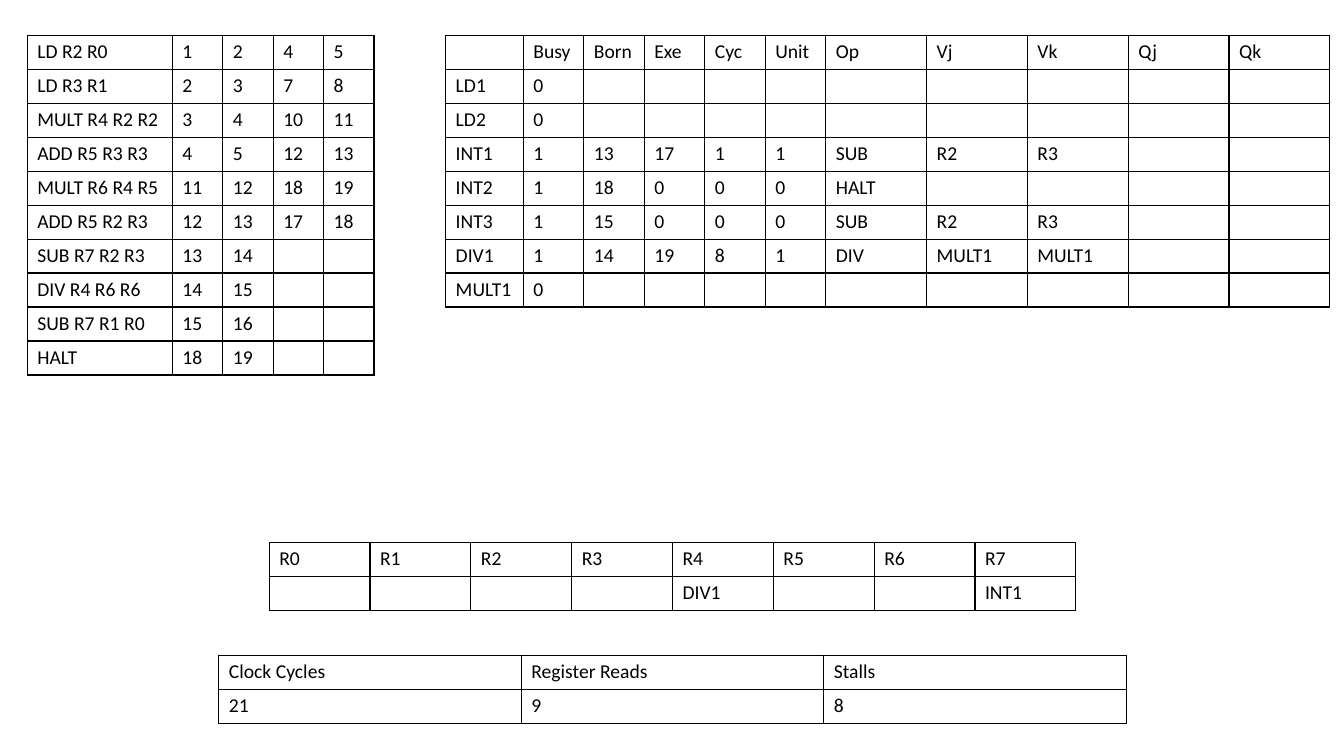
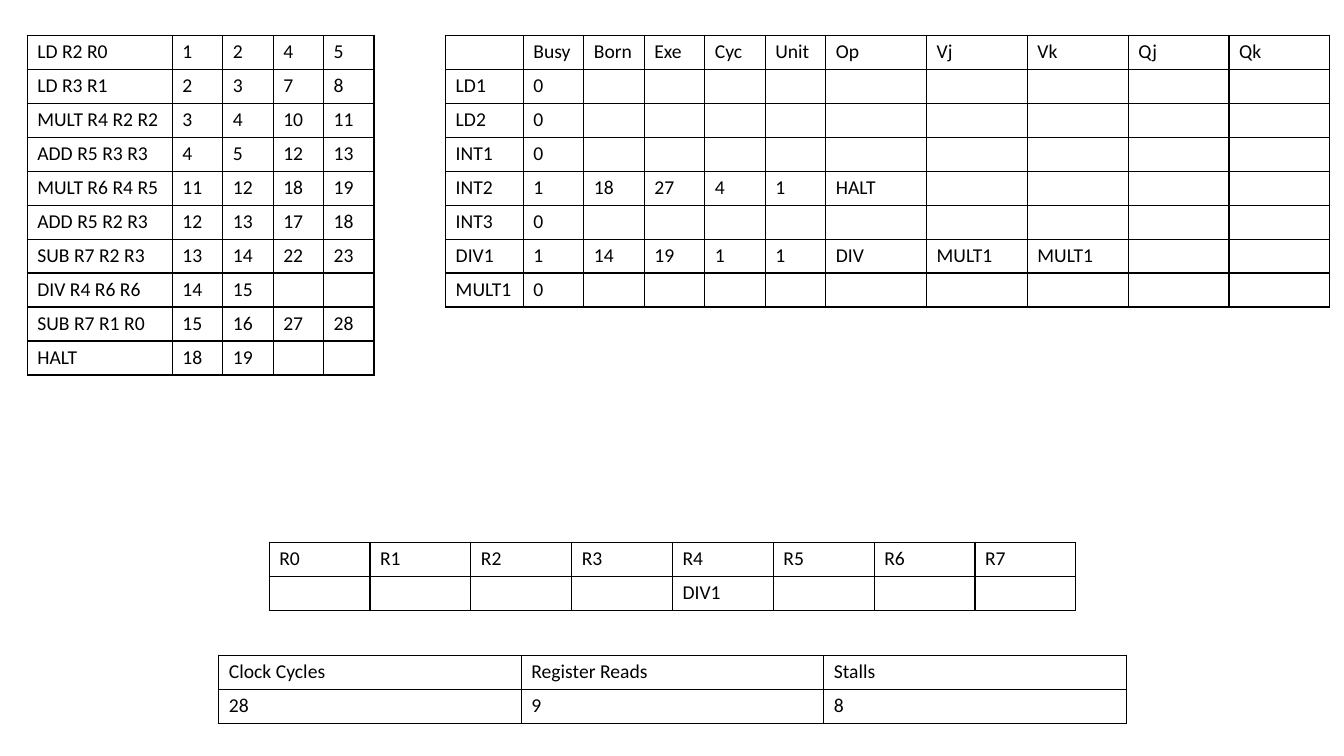
from pptx import Presentation
from pptx.dml.color import RGBColor
from pptx.oxml.ns import qn
from pptx.util import Emu, Pt
from lxml.etree import SubElement

# Lengths are px, 100 to the inch
SCALE = 9144
WIDTH, HEIGHT = 1333, 750
ROW_HEIGHT = 33

# What both cycles share: instructions with their first two stages
PROGRAM = [
    ("LD R2 R0", 1, 2),
    ("LD R3 R1", 2, 3),
    ("MULT R4 R2 R2", 3, 4),
    ("ADD R5 R3 R3", 4, 5),
    ("MULT R6 R4 R5", 11, 12),
    ("ADD R5 R2 R3", 12, 13),
    ("SUB R7 R2 R3", 13, 14),
    ("DIV R4 R6 R6", 14, 15),
    ("SUB R7 R1 R0", 15, 16),
    ("HALT", 18, 19),
]
STATION_HEADINGS = ("", "Busy", "Born", "Exe", "Cyc", "Unit",
                    "Op", "Vj", "Vk", "Qj", "Qk")
STATIONS = ("LD1", "LD2", "INT1", "INT2", "INT3", "DIV1", "MULT1")
REGISTERS = tuple(f"R{number}" for number in range(8))
COUNTERS = ("Clock Cycles", "Register Reads", "Stalls")

# Last two stages of the instructions finished so far
FINISHED = {
    "LD R2 R0": (4, 5),
    "LD R3 R1": (7, 8),
    "MULT R4 R2 R2": (10, 11),
    "ADD R5 R3 R3": (12, 13),
    "MULT R6 R4 R5": (18, 19),
    "ADD R5 R2 R3": (17, 18),
}

# One entry for each slide; a station that is not listed is idle
CYCLES = [
    {
        "finished": FINISHED,
        "busy": {
            "INT1": (13, 17, 1, 1, "SUB", "R2", "R3"),
            "INT2": (18, 0, 0, 0, "HALT"),
            "INT3": (15, 0, 0, 0, "SUB", "R2", "R3"),
            "DIV1": (14, 19, 8, 1, "DIV", "MULT1", "MULT1"),
        },
        "pending": {"R4": "DIV1", "R7": "INT1"},
        "counts": (21, 9, 8),
    },
    {
        "finished": FINISHED | {"SUB R7 R2 R3": (22, 23),
                                "SUB R7 R1 R0": (27, 28)},
        "busy": {
            "INT2": (18, 27, 4, 1, "HALT"),
            "DIV1": (14, 19, 1, 1, "DIV", "MULT1", "MULT1"),
        },
        "pending": {"R4": "DIV1"},
        "counts": (28, 9, 8),
    },
]


def px(length):
    return Emu(length * SCALE)


def colour(code):
    return RGBColor.from_string(code)


def write(frame, text, font="Calibri", size=14, ink="000000"):
    paragraph = frame.paragraphs[0]
    if text == "":
        # An empty cell needs the text size too, or its row grows
        SubElement(paragraph._p, qn("a:endParaRPr"), sz=str(size * 100))
        return
    run = paragraph.add_run()
    run.text = str(text)
    run.font.name = font
    run.font.size = Pt(size)
    run.font.color.rgb = colour(ink)


class Deck:
    ink = "000000"
    paper = "FFFFFF"
    border = Pt(1)

    def __init__(self):
        self.show = Presentation()
        self.show.slide_width = px(WIDTH)
        self.show.slide_height = px(HEIGHT)
        self.slide = None

    def new_slide(self):
        self.slide = self.show.slides.add_slide(self.show.slide_layouts[6])

    def outline(self, cell):
        properties = cell._tc.get_or_add_tcPr()
        for position, side in enumerate(("a:lnL", "a:lnR", "a:lnT", "a:lnB")):
            line = SubElement(properties, qn(side), w=str(self.border))
            fill = SubElement(line, qn("a:solidFill"))
            SubElement(fill, qn("a:srgbClr"), val=self.ink)
            # Borders come before the fill in the cell properties
            properties.insert(position, line)

    def grid(self, left, top, widths, rows):
        frame = self.slide.shapes.add_table(
            len(rows), len(widths), px(left), px(top),
            px(sum(widths)), px(ROW_HEIGHT * len(rows)))
        table = frame.table
        table.first_row = table.horz_banding = False
        for column, width in zip(table.columns, widths):
            column.width = px(width)
        for row, values in zip(table.rows, rows):
            row.height = px(ROW_HEIGHT)
            padded = tuple(values) + ("",) * (len(widths) - len(values))
            for cell, value in zip(row.cells, padded):
                cell.fill.solid()
                cell.fill.fore_color.rgb = colour(self.paper)
                self.outline(cell)
                write(cell.text_frame, value, ink=self.ink)

    def centred_grid(self, top, widths, rows):
        self.grid((WIDTH - sum(widths) + 1) // 2, top, widths, rows)


def station_row(station, busy):
    return (station, 1, *busy[station]) if station in busy else (station, 0)


def draw_cycle(deck, cycle):
    deck.new_slide()

    # Instruction status
    deck.grid(27, 35, [144] + [50] * 4,
              [line + cycle["finished"].get(line[0], ()) for line in PROGRAM])

    # Reservation stations
    deck.grid(442, 35, [77] + [60] * 5 + [100] * 5,
              [STATION_HEADINGS]
              + [station_row(station, cycle["busy"]) for station in STATIONS])

    # Register status
    deck.centred_grid(538, [100] * len(REGISTERS),
                      [REGISTERS,
                       [cycle["pending"].get(name, "") for name in REGISTERS]])

    # Counters
    deck.centred_grid(650, [300] * len(COUNTERS), [COUNTERS, cycle["counts"]])


def main():
    deck = Deck()
    for cycle in CYCLES:
        draw_cycle(deck, cycle)
    deck.show.save("out.pptx")


if __name__ == "__main__":
    main()
